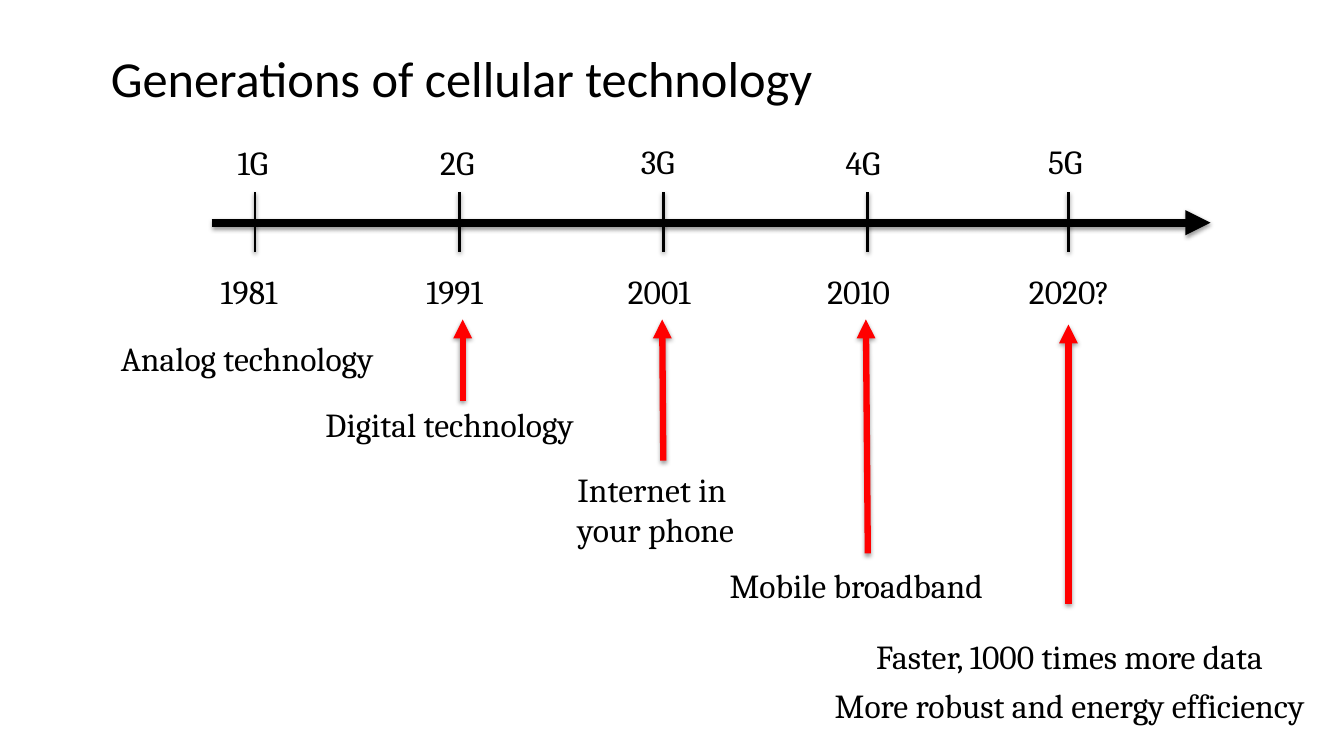
from dataclasses import dataclass

from lxml.etree import SubElement
from pptx import Presentation
from pptx.dml.color import RGBColor
from pptx.enum.shapes import MSO_CONNECTOR
from pptx.enum.text import MSO_ANCHOR, MSO_AUTO_SIZE, PP_ALIGN
from pptx.oxml.ns import qn
from pptx.util import Pt


@dataclass(frozen=True)
class Theme:
    """Colours, fonts and type sizes of the slide."""
    ink: RGBColor = RGBColor(0, 0, 0)
    accent: RGBColor = RGBColor(255, 0, 0)
    title_font: str = "Calibri"
    label_font: str = "Cambria"
    title_size: int = 36
    label_size: int = 24


THEME = Theme()
LABEL_HEIGHT = 36.35
YEAR_TOP = 190.1
AXIS_Y = 159.1
TICK_TOP, TICK_BOTTOM = 137.5, 180

# Tick x, generation (text, left, top, width), year (text, left, width)
GENERATIONS = [
    (182.2, ("1G", 162.7, 97.9, 42.5), ("1981", 150.5, 63.4)),
    (328.3, ("2G", 307.4, 97.9, 45.4), ("1991", 297.4, 63.4)),
    (473.8, ("3G", 450.7, 97.2, 45.4), ("2001", 441.4, 68.4)),
    (619.9, ("4G", 596.9, 97.9, 45.4), ("2010", 583.9, 68.4)),
    (763.2, ("5G", 741.6, 97.2, 45.4), ("2020?", 727.9, 82.8)),
]

# Lines, left, top, width, height
FEATURES = [
    (["Analog technology"], 79.2, 237.6, 212.4, LABEL_HEIGHT),
    (["Digital technology"], 225.4, 285.1, 209.5, LABEL_HEIGHT),
    (["Internet in\vyour phone"], 405.4, 331.2, 136.8, 65.5),
    (["Mobile broadband"], 514.1, 400.3, 212.4, LABEL_HEIGHT),
]
OUTLOOK = ["Faster, 1000 times more data", "More robust and energy efficiency"]

# Start point and end point
FEATURE_ARROWS = [
    ((330.5, 286.6), (330.5, 228.2)),
    ((473.8, 329), (473, 228.2)),
    ((619.9, 395.3), (618.5, 228.2)),
    ((763.2, 431.3), (763.2, 231.8)),
]


def write_text(frame, lines, *, font=THEME.label_font, size=THEME.label_size,
               color=THEME.ink, align=PP_ALIGN.LEFT, gap=0):
    """Fill a text frame with formatted paragraphs."""
    for index, line in enumerate(lines):
        paragraph = frame.paragraphs[0] if index == 0 else frame.add_paragraph()
        paragraph.text = line
        paragraph.alignment = align
        paragraph.space_before = Pt(0)
        paragraph.space_after = Pt(gap if index < len(lines) - 1 else 0)
        paragraph.font.name = font
        paragraph.font.size = Pt(size)
        paragraph.font.color.rgb = color


def add_title(slide, text):
    """Place and format the title placeholder."""
    title = slide.shapes.title
    title.left, title.top, title.width, title.height = Pt(72), Pt(27.4), Pt(812.2), Pt(65.5)
    frame = title.text_frame
    frame.vertical_anchor = MSO_ANCHOR.TOP
    frame.auto_size = MSO_AUTO_SIZE.NONE
    frame.margin_top = Pt(6)
    write_text(frame, [text], font=THEME.title_font, size=THEME.title_size)


def add_label(slide, lines, left, top, width, height=LABEL_HEIGHT, **text_format):
    """Add an unwrapped text box that fits its text."""
    box = slide.shapes.add_textbox(Pt(left), Pt(top), Pt(width), Pt(height))
    frame = box.text_frame
    frame.word_wrap = False
    frame.auto_size = MSO_AUTO_SIZE.SHAPE_TO_FIT_TEXT
    write_text(frame, lines, **text_format)


def add_soft_shadow(connector):
    """Give a connector a faint shadow below it."""
    effects = SubElement(connector._element.spPr, qn("a:effectLst"))
    shadow = SubElement(effects, qn("a:outerShdw"), blurRad=str(Pt(3.1)),
                        dist=str(Pt(1.6)), dir="5400000", rotWithShape="0")
    color = SubElement(shadow, qn("a:srgbClr"), val=str(THEME.ink))
    SubElement(color, qn("a:alpha"), val="38000")


def add_line(slide, start, end, *, color=THEME.ink, width=2, arrow=False):
    """Add a straight line, with an arrowhead at its end if wanted."""
    points = [Pt(value) for value in (*start, *end)]
    connector = slide.shapes.add_connector(MSO_CONNECTOR.STRAIGHT, *points)
    connector.line.color.rgb = color
    connector.line.width = Pt(width)
    if arrow:
        SubElement(connector.line._get_or_add_ln(), qn("a:tailEnd"), type="triangle")
    add_soft_shadow(connector)


def main():
    """Build the timeline slide and save it."""
    presentation = Presentation()
    presentation.slide_width, presentation.slide_height = Pt(960), Pt(540)
    slide = presentation.slides.add_slide(presentation.slide_layouts[5])
    add_title(slide, "Generations of cellular technology")
    add_line(slide, (151.2, AXIS_Y), (864.7, AXIS_Y), width=6, arrow=True)
    for tick_x, (generation, left, top, width), (year, year_left, year_width) in GENERATIONS:
        add_line(slide, (tick_x, TICK_TOP), (tick_x, TICK_BOTTOM))
        add_label(slide, [generation], left, top, width)
        add_label(slide, [year], year_left, YEAR_TOP, year_width)
    for feature in FEATURES:
        add_label(slide, *feature)
    add_label(slide, OUTLOOK, 571.7, 450.7, 384.5, 71.3, align=PP_ALIGN.CENTER, gap=6)
    for start, end in FEATURE_ARROWS:
        add_line(slide, start, end, color=THEME.accent, width=4.5, arrow=True)
    presentation.save("out.pptx")


if __name__ == "__main__":
    main()
